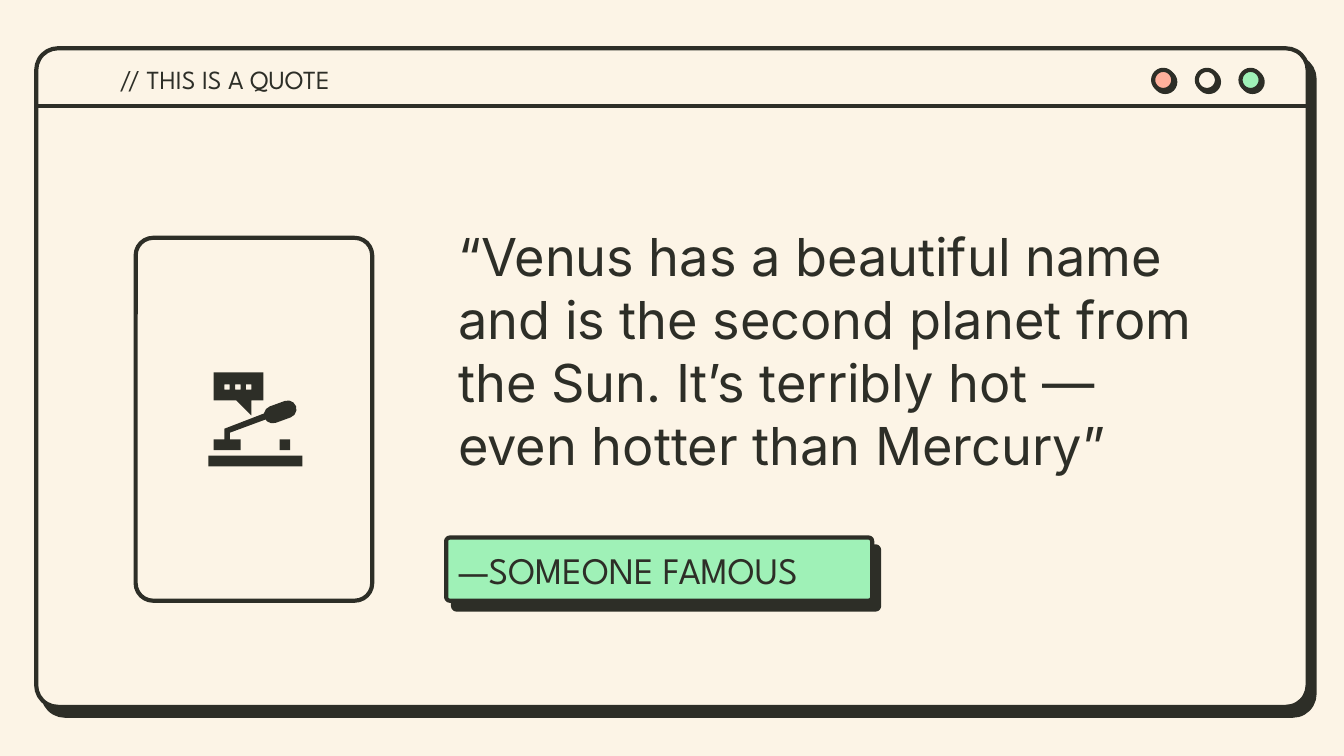
from lxml.etree import SubElement
from pptx import Presentation
from pptx.dml.color import RGBColor
from pptx.enum.shapes import MSO_CONNECTOR as Connector, MSO_SHAPE as Preset
from pptx.enum.text import MSO_ANCHOR as Anchor, MSO_AUTO_SIZE as AutoSize, PP_ALIGN as Align
from pptx.oxml.ns import qn
from pptx.util import Inches, Pt

WIDTH = 10
HEIGHT = WIDTH * 9 / 16
INK, CREAM, GREEN, CORAL = "2D2E27", "FCF4E6", "9FF1B7", "FFB09C"
STROKE = 2.25

HEADING = "// THIS IS A QUOTE"
QUOTE = ("“Venus has a beautiful name and is the second planet from the Sun. "
         "It’s terribly hot — even hotter than Mercury”")
AUTHOR = "—SOMEONE FAMOUS"
BUTTONS = [CORAL, CREAM, GREEN]

WINDOW = (0.27, 0.36, 9.46, 4.9)
BAR_BOTTOM = 0.79
CARD = (1.01, 1.77, 1.76, 2.7)
AUTHOR_TAG = (3.32, 4, 3.17, 0.47)
FIRST_BUTTON, LAST_BUTTON, BUTTON_TOP, BUTTON_SIZE = 8.58, 9.23, 0.52, 0.15

SPEECH_BUBBLE = [(159, 277), (159, 298), (176, 298), (187, 309),
                 (187, 298), (196, 298), (196, 277)]
BUBBLE_DOTS = [[(x, 286), (x, 290), (x - 4, 290), (x - 4, 286)] for x in (171, 179, 187)]
LEVER_ARM = [(198, 307), (167, 319), (167, 327), (159, 327), (159, 335), (179, 335),
             (179, 327), (171, 327), (171, 322), (198, 312)]
LEVER_HANDLE = (1.96, 3, 0.25, 0.13)
HANDLE_TILT = -20
ICON_BLOCKS = [(1.55, 3.39, 0.7, 0.08), (2.08, 3.27, 0.08, 0.08)]


def color(hex_value):
    return RGBColor.from_string(hex_value)


def inches(box):
    return [Inches(value) for value in box]


def paint(shape, fill=None, line=None, shadow=None):
    shape.shadow.inherit = False
    if fill:
        shape.fill.solid()
        shape.fill.fore_color.rgb = color(fill)
    else:
        shape.fill.background()
    if line:
        shape.line.color.rgb = color(line)
        shape.line.width = Pt(STROKE)
    else:
        shape.line.fill.background()
    if shadow:
        distance, angle = shadow
        effects = shape._element.spPr.find(qn("a:effectLst"))
        outer = SubElement(effects, qn("a:outerShdw"), blurRad="0", dist=str(Pt(distance)),
                           dir=str(angle * 60000), algn="bl", rotWithShape="0")
        SubElement(outer, qn("a:srgbClr"), val=INK)


def add_preset(preset, box, radius=None, **style):
    shape = slide.shapes.add_shape(preset, *inches(box))
    if radius is not None:
        shape.adjustments[0] = radius
    paint(shape, **style)
    return shape


def add_outline(*contours):
    start, *rest = contours
    builder = slide.shapes.build_freeform(*start[0], scale=Inches(0.01))
    builder.add_line_segments(start[1:])
    for contour in rest:
        builder.move_to(*contour[0])
        builder.add_line_segments(contour[1:])
    paint(builder.convert_to_shape(), fill=INK)


def write(placeholder, text, box, size, font):
    slide.shapes._spTree.append(placeholder._element)
    placeholder.left, placeholder.top, placeholder.width, placeholder.height = inches(box)
    frame = placeholder.text_frame
    frame.text = text
    frame.word_wrap = True
    frame.auto_size = AutoSize.NONE
    frame.vertical_anchor = Anchor.MIDDLE
    frame.margin_left = frame.margin_right = frame.margin_top = frame.margin_bottom = Inches(0.1)
    paragraph = frame.paragraphs[0]
    properties = paragraph._p.get_or_add_pPr()
    properties.set("marL", "0")
    properties.set("indent", "0")
    SubElement(properties, qn("a:buNone"))
    paragraph.alignment = Align.LEFT
    paragraph.space_before = Pt(0)
    run_font = paragraph.runs[0].font
    run_font.name, run_font.size = font, Pt(size)
    run_font.color.rgb = color(INK)


presentation = Presentation()
presentation.slide_width, presentation.slide_height = inches((WIDTH, HEIGHT))
slide = presentation.slides.add_slide(presentation.slide_layouts.get_by_name("Two Content"))
slide.background.fill.solid()
slide.background.fill.fore_color.rgb = color(CREAM)
title, quote, author = list(slide.placeholders)[:3]

add_preset(Preset.ROUNDED_RECTANGLE, WINDOW, 0.033, fill=CREAM, line=INK, shadow=(6, 52))
left, _, width, _ = WINDOW
bar = slide.shapes.add_connector(
    Connector.STRAIGHT, *inches((left, BAR_BOTTOM, left + width, BAR_BOTTOM)))
bar.line.color.rgb = color(INK)
bar.line.width = Pt(STROKE)
SubElement(bar._element.spPr, qn("a:effectLst"))

button_pitch = (LAST_BUTTON - FIRST_BUTTON) / (len(BUTTONS) - 1)
for column, fill in enumerate(BUTTONS):
    box = (FIRST_BUTTON + column * button_pitch, BUTTON_TOP, BUTTON_SIZE, BUTTON_SIZE)
    add_preset(Preset.OVAL, box, fill=fill, line=INK, shadow=(1.5, 45))

add_preset(Preset.ROUNDED_RECTANGLE, CARD, 0.074, line=INK)
add_preset(Preset.ROUNDED_RECTANGLE, AUTHOR_TAG, 0.057, fill=GREEN, line=INK, shadow=(6, 52))

add_outline(LEVER_ARM)
handle = add_preset(Preset.ROUNDED_RECTANGLE, LEVER_HANDLE, 0.5, fill=INK)
handle.rotation = HANDLE_TILT
add_outline(SPEECH_BUBBLE, *BUBBLE_DOTS)
for block in ICON_BLOCKS:
    add_preset(Preset.RECTANGLE, block, fill=INK)

write(quote, QUOTE, (3.31, 1.56, 5.89, 2.09), size=28, font="Inter")
write(author, AUTHOR, (3.31, 4.06, 3.38, 0.36), size=20, font="League Spartan")
write(title, HEADING, (0.79, 0.41, 3.96, 0.36), size=14, font="League Spartan")

presentation.save("out.pptx")
